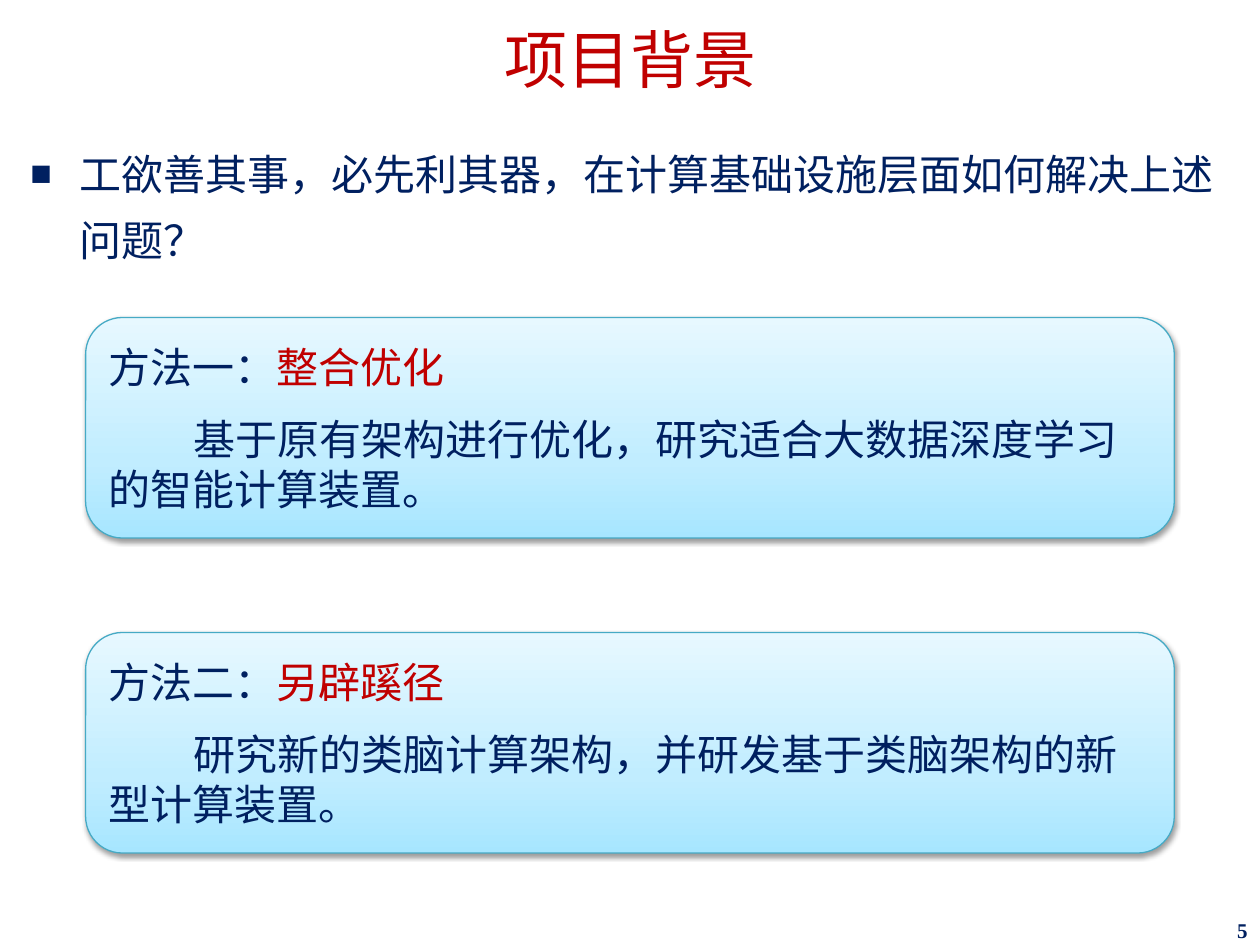
from dataclasses import dataclass

import lxml.etree
import pptx
import pptx.dml.color
import pptx.enum.shapes
import pptx.enum.text
import pptx.oxml.ns
import pptx.util

Inches, Pt = pptx.util.Inches, pptx.util.Pt
Align = pptx.enum.text.PP_ALIGN
Anchor = pptx.enum.text.MSO_ANCHOR

FONT = "Times New Roman"
NAVY, RED, TEAL = "002060", "C00000", "46AAC5"
CARD_STOPS = [(0, "A7E6FF"), (35, "C1EDFF"), (100, "E7F8FF")]


@dataclass
class Method:
    label: str
    name: str
    detail: str


METHODS = [
    Method("方法一：", "整合优化", "基于原有架构进行优化，研究适合大数据深度学习的智能计算装置。"),
    Method("方法二：", "另辟蹊径", "研究新的类脑计算架构，并研发基于类脑架构的新型计算装置。"),
]


def rgb(color: str) -> pptx.dml.color.RGBColor:
    return pptx.dml.color.RGBColor.from_string(color)


def place(box, left: float, top: float, width: float, height: float) -> None:
    box.left, box.top = Inches(left), Inches(top)
    box.width, box.height = Inches(width), Inches(height)


def set_font(para, size: float, color: str = NAVY, bold: bool = False) -> None:
    font = para.font
    font.name, font.size, font.bold = FONT, Pt(size), bold
    font.color.rgb = rgb(color)


def add_child(parent, tag: str, **attributes):
    child = lxml.etree.SubElement(parent, pptx.oxml.ns.qn(tag))
    for name, value in attributes.items():
        child.set(name, str(value))
    return child


def indent(para, left: float, first: float) -> None:
    properties = para._p.get_or_add_pPr()
    properties.set("marL", str(Inches(left)))
    properties.set("indent", str(Inches(first)))


def add_bullet(para, symbol: str, percent: int) -> None:
    properties = para._p.get_or_add_pPr()
    add_child(properties, "a:buSzPct", val=percent * 1000)
    add_child(properties, "a:buFont", typeface=FONT)
    add_child(properties, "a:buChar", char=symbol)


def style_card(card) -> None:
    """Give the card its rising gradient, thin outline and soft shadow."""
    card.fill.gradient()
    gradient = card._element.spPr.find(pptx.oxml.ns.qn("a:gradFill"))
    for child in list(gradient):
        gradient.remove(child)
    stops = add_child(gradient, "a:gsLst")
    for position, color in CARD_STOPS:
        stop = add_child(stops, "a:gs", pos=position * 1000)
        add_child(stop, "a:srgbClr", val=color)
    add_child(gradient, "a:lin", ang=270 * 60000, scaled=0)

    card.line.color.rgb = rgb(TEAL)
    card.line.width = Pt(0.75)

    card.shadow.inherit = False
    effects = card._element.spPr.find(pptx.oxml.ns.qn("a:effectLst"))
    shadow = add_child(effects, "a:outerShdw", blurRad=Pt(3.1), dist=Pt(1.6),
                       dir=90 * 60000, rotWithShape=0)
    add_child(add_child(shadow, "a:srgbClr", val="000000"), "a:alpha", val=38000)


def add_card(page, method: Method, top: float) -> None:
    card = page.shapes.add_shape(
        pptx.enum.shapes.MSO_SHAPE.ROUNDED_RECTANGLE,
        Inches(0.68), Inches(top), Inches(8.64), Inches(1.75))
    style_card(card)
    frame = card.text_frame
    frame.word_wrap = True
    frame.vertical_anchor = Anchor.MIDDLE

    heading = frame.paragraphs[0]
    heading.space_after = Pt(12)
    for text, color in ((method.label, NAVY), (method.name, RED)):
        span = heading.add_run()
        span.text = text
        span.font.color.rgb = rgb(color)
    detail = frame.add_paragraph()
    detail.text = method.detail
    indent(detail, 0, 0.67)
    for para in (heading, detail):
        para.alignment = Align.LEFT
        set_font(para, 24)


def add_title(page) -> None:
    title = page.shapes.title
    place(title, 0, 0, 10, 0.89)
    frame = title.text_frame
    frame.margin_top = Inches(0.16)
    frame.vertical_anchor = Anchor.MIDDLE
    para = frame.paragraphs[0]
    para.text = "项目背景"
    para.alignment = Align.CENTER
    para.line_spacing = 0.9
    set_font(para, 36, RED)


def add_question(page) -> None:
    body = page.placeholders[1]
    place(body, 0.14, 1.01, 9.72, 6.17)
    para = body.text_frame.paragraphs[0]
    para.text = "工欲善其事，必先利其器，在计算基础设施层面如何解决上述问题？"
    para.line_spacing = 1.3
    para.space_before = Pt(0)
    indent(para, 0.39, -0.39)
    add_bullet(para, "■", 85)
    set_font(para, 24)


def add_page_number(page) -> None:
    box = page.shapes.add_textbox(Inches(7.75), Inches(7.28), Inches(2.25), Inches(0.22))
    frame = box.text_frame
    frame.word_wrap = True
    frame.margin_top = Inches(0.04)
    frame.vertical_anchor = Anchor.MIDDLE
    para = frame.paragraphs[0]
    para.text = "5"
    para.alignment = Align.RIGHT
    set_font(para, 12, bold=True)


def main() -> None:
    deck = pptx.Presentation()
    deck.slide_width, deck.slide_height = Inches(10), Inches(7.5)
    page = deck.slides.add_slide(deck.slide_layouts[1])
    add_title(page)
    add_question(page)
    add_page_number(page)
    for index, method in enumerate(METHODS):
        add_card(page, method, 2.52 + 2.5 * index)
    deck.save("out.pptx")


if __name__ == "__main__":
    main()
